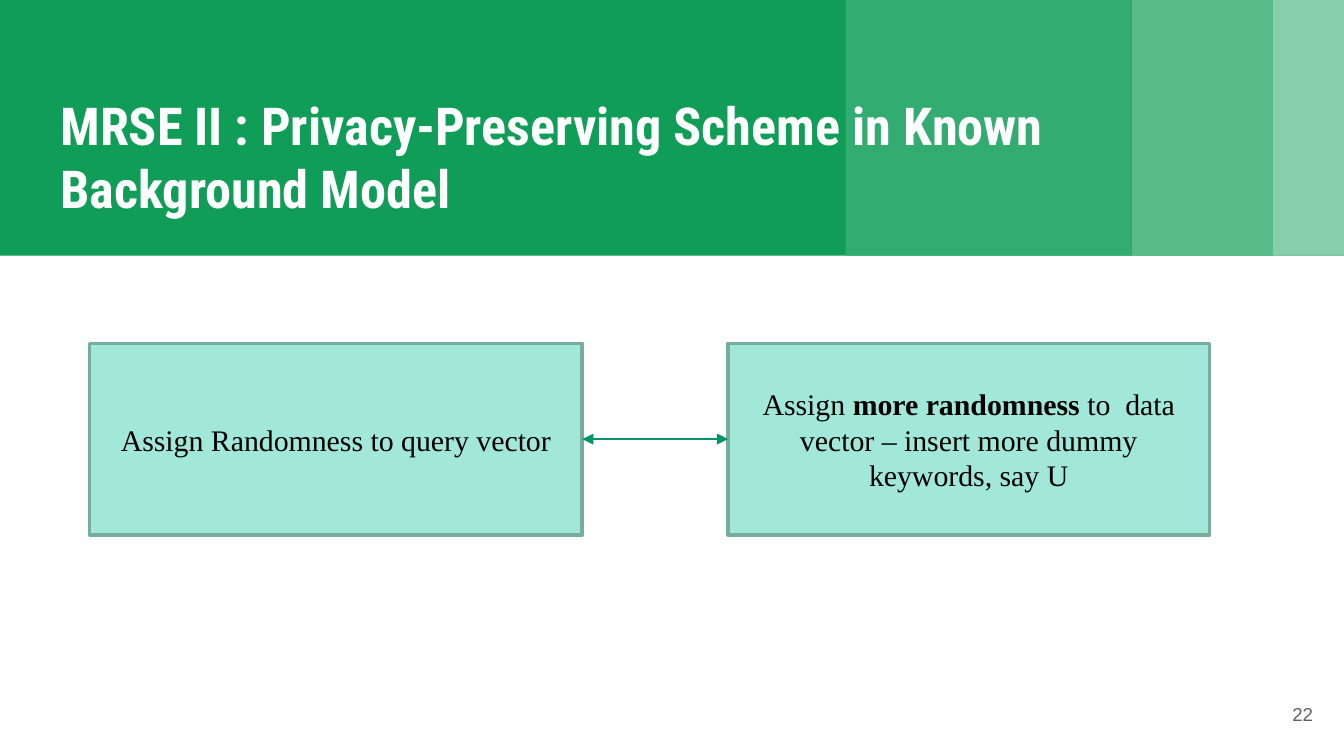
"""Build the MRSE II slide: a banded title over two linked boxes."""

from dataclasses import dataclass

from lxml.etree import SubElement
from pptx import Presentation
from pptx.dml.color import RGBColor as Rgb
from pptx.enum.shapes import MSO_CONNECTOR as Connector, MSO_SHAPE as Shape
from pptx.enum.text import MSO_ANCHOR as Anchor, MSO_AUTO_SIZE as AutoSize, PP_ALIGN as Align
from pptx.oxml.ns import qn
from pptx.shapes.autoshape import Shape as AutoShape
from pptx.slide import Slide
from pptx.text.text import TextFrame
from pptx.util import Pt


@dataclass(frozen=True)
class Theme:
    white: str = "FFFFFF"
    black: str = "000000"
    box_fill: str = "A1E8D9"
    box_line: str = "77ACA1"
    arrow: str = "009366"
    number: str = "616161"
    title_font: str = "Roboto Condensed"
    box_font: str = "Times New Roman"
    number_font: str = "Arial"
    title_size: float = 28
    box_size: float = 16
    number_size: float = 10


@dataclass(frozen=True)
class Band:
    left: float
    right: float
    color: str


@dataclass(frozen=True)
class Span:
    text: str
    bold: bool = False


@dataclass(frozen=True)
class Box:
    left: float
    width: float
    spans: tuple[Span, ...]


THEME = Theme()
PAGE_WIDTH, PAGE_HEIGHT = 720, 405
BAND_HEIGHT = 137
BOX_TOP, BOX_HEIGHT = 184, 102.5
INSET = 7.2

BANDS = (
    Band(0, PAGE_WIDTH, "0F9D58"),
    Band(453, 606.3, "33AC71"),
    Band(606.3, 681.8, "57BB8A"),
    Band(681.8, PAGE_WIDTH, "87CEAC"),
)
BOXES = (
    Box(48, 264, (Span("Assign Randomness to query vector"),)),
    Box(390, 258, (
        Span("Assign "),
        Span("more randomness ", bold=True),
        Span("to  data vector – insert more dummy keywords, say U"),
    )),
)


def add_rectangle(page: Slide, left: float, top: float, width: float, height: float, fill: str) -> AutoShape:
    """Add a flat, borderless rectangle."""
    shape = page.shapes.add_shape(Shape.RECTANGLE, Pt(left), Pt(top), Pt(width), Pt(height))
    shape.shadow.inherit = False
    shape.fill.solid()
    shape.fill.fore_color.rgb = Rgb.from_string(fill)
    shape.line.fill.background()
    return shape


def write_text(frame: TextFrame, spans: tuple[Span, ...], font: str, size: float,
               color: str, align: Align, anchor: Anchor) -> None:
    """Fill a frame with one paragraph of styled spans."""
    frame.word_wrap = True
    frame.auto_size = AutoSize.NONE
    frame.vertical_anchor = anchor
    para = frame.paragraphs[0]
    para.alignment = align
    for span in spans:
        run = para.add_run()
        run.text = span.text
        run.font.name = font
        run.font.size = Pt(size)
        run.font.bold = span.bold
        run.font.color.rgb = Rgb.from_string(color)


def set_insets(frame: TextFrame) -> None:
    """Give a frame equal insets on all sides."""
    frame.margin_left = frame.margin_right = Pt(INSET)
    frame.margin_top = frame.margin_bottom = Pt(INSET)


def add_title(page: Slide, text: str) -> None:
    """Place the title placeholder in front of the bands."""
    title = page.shapes.title
    title.left, title.top, title.width, title.height = Pt(25.2), Pt(11.5), Pt(669), Pt(113)
    set_insets(title.text_frame)
    write_text(title.text_frame, (Span(text, bold=True),), THEME.title_font, THEME.title_size,
               THEME.white, Align.LEFT, Anchor.BOTTOM)
    title.element.getparent().append(title.element)


def add_box(page: Slide, box: Box) -> AutoShape:
    """Add an outlined box with centred text."""
    shape = add_rectangle(page, box.left, BOX_TOP, box.width, BOX_HEIGHT, THEME.box_fill)
    shape.line.color.rgb = Rgb.from_string(THEME.box_line)
    shape.line.width = Pt(2)
    write_text(shape.text_frame, box.spans, THEME.box_font, THEME.box_size,
               THEME.black, Align.CENTER, Anchor.MIDDLE)
    return shape


def link_boxes(page: Slide, first: AutoShape, second: AutoShape) -> None:
    """Join two boxes with a double-headed arrow."""
    arrow = page.shapes.add_connector(Connector.STRAIGHT, 0, 0, 0, 0)
    arrow.begin_connect(first, 3)
    arrow.end_connect(second, 1)
    arrow.line.color.rgb = Rgb.from_string(THEME.arrow)
    arrow.line.width = Pt(0.75)
    properties = arrow.element.spPr
    line = properties.find(qn("a:ln"))
    for end in ("a:headEnd", "a:tailEnd"):
        SubElement(line, qn(end), type="triangle")
    SubElement(properties, qn("a:effectLst"))


def add_page_number(page: Slide, number: str) -> None:
    """Add the page number at the lower right."""
    frame = page.shapes.add_textbox(Pt(667.5), Pt(367), Pt(43), Pt(31)).text_frame
    set_insets(frame)
    write_text(frame, (Span(number),), THEME.number_font, THEME.number_size,
               THEME.number, Align.RIGHT, Anchor.MIDDLE)


def main() -> None:
    """Build and save the deck."""
    deck = Presentation()
    deck.slide_width, deck.slide_height = Pt(PAGE_WIDTH), Pt(PAGE_HEIGHT)
    page = deck.slides.add_slide(deck.slide_layouts[5])
    for band in BANDS:
        add_rectangle(page, band.left, 0, band.right - band.left, BAND_HEIGHT, band.color)
    add_title(page, "MRSE II : Privacy-Preserving Scheme in Known Background Model")
    first, second = [add_box(page, box) for box in BOXES]
    link_boxes(page, first, second)
    add_page_number(page, "22")
    deck.save("out.pptx")


if __name__ == "__main__":
    main()
